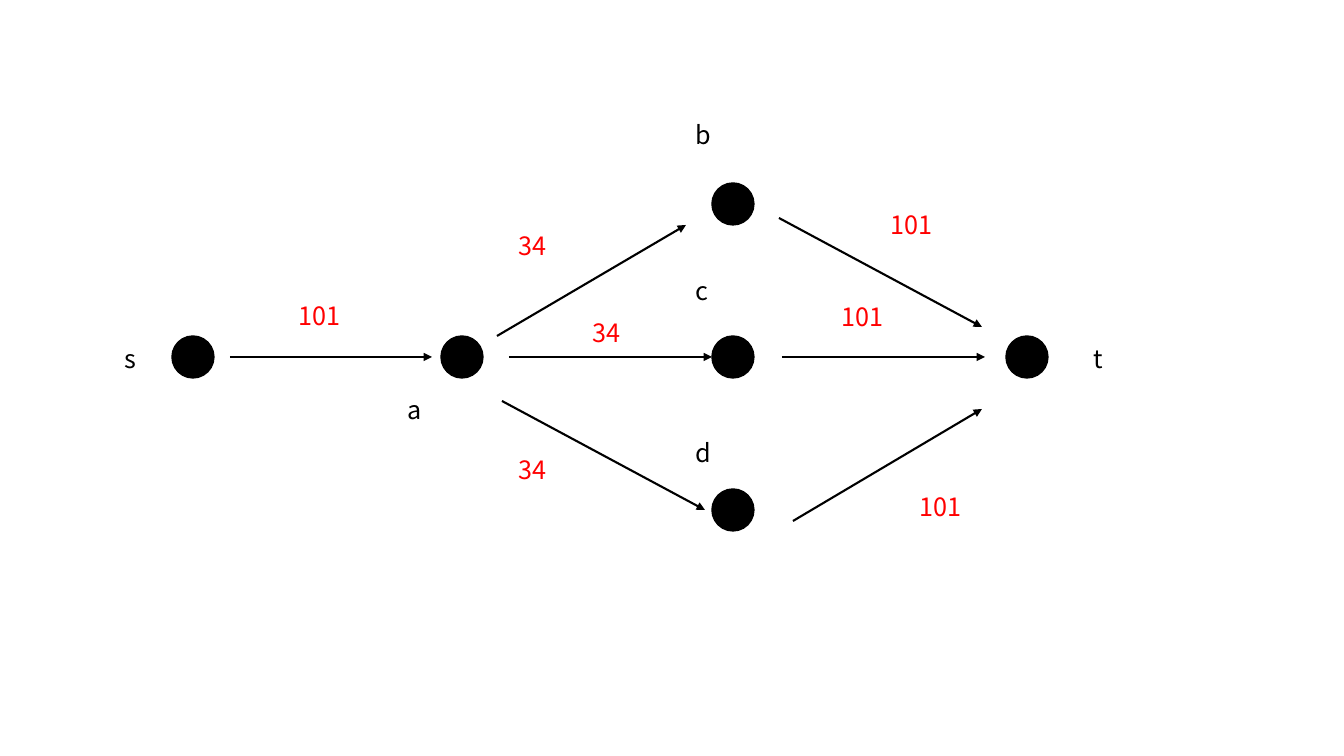
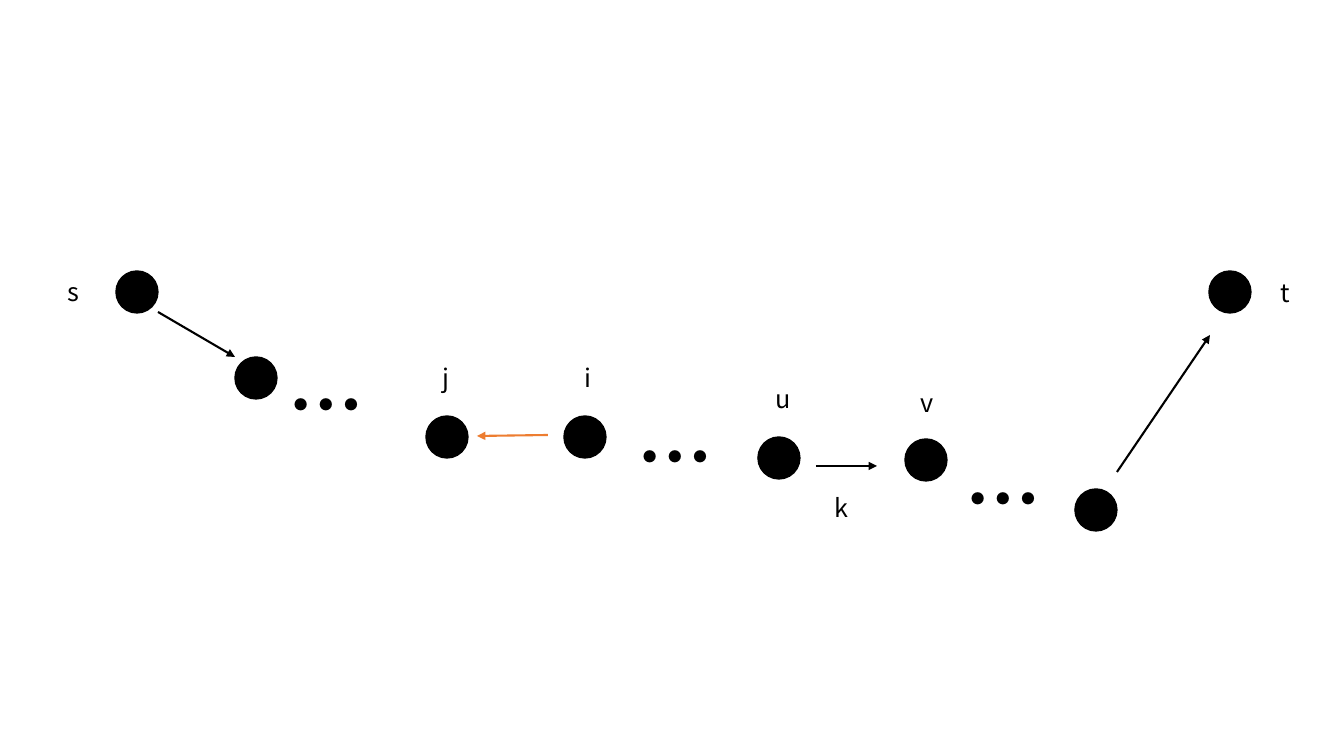
from lxml import etree
from pptx import Presentation
from pptx.dml.color import RGBColor
from pptx.enum.shapes import MSO_CONNECTOR, MSO_SHAPE
from pptx.enum.text import MSO_AUTO_SIZE
from pptx.oxml.ns import qn
from pptx.util import Emu, Pt

ELLIPSE = MSO_SHAPE.OVAL
STRAIGHT = MSO_CONNECTOR.STRAIGHT
GROW = MSO_AUTO_SIZE.SHAPE_TO_FIT_TEXT

FONT = "Noto Sans CJK KR"
BLACK, RED, ORANGE = "000000", "FF0000", "ED7D31"
SLIDE_W, SLIDE_H = 1344, 756
NODE_SIZE = 42
LABEL_H, DOTS_H = 40, 102
LABEL_W = {
    "s": 31, "t": 29, "a": 33, "b": 35, "c": 32, "d": 35, "u": 35, "v": 32,
    "k": 33, "i": 26, "j": 26, "34": 48, "101": 62, "…": 88,
}

# Nodes are centres, arrows run from start to end, text is placed by its top left.
FLOW_NETWORK = {
    "nodes": [(193, 357), (462, 357), (733, 204), (733, 357), (733, 510), (1027, 357)],
    "arrows": [
        ((497, 336), (686, 225), BLACK),
        ((502, 401), (705, 510), BLACK),
        ((230, 357), (432, 357), BLACK),
        ((509, 357), (712, 357), BLACK),
        ((782, 357), (985, 357), BLACK),
        ((779, 218), (982, 327), BLACK),
        ((793, 521), (982, 409), BLACK),
    ],
    "names": [
        ("s", 115, 338), ("t", 1084, 338), ("a", 398, 389),
        ("b", 686, 114), ("c", 686, 270), ("d", 686, 432),
    ],
    "capacities": [
        ("101", 289, 295), ("34", 509, 225), ("34", 583, 312), ("34", 509, 449),
        ("101", 881, 204), ("101", 832, 296), ("101", 910, 486),
    ],
    "gaps": [],
}
AUGMENTING_PATH = {
    "nodes": [
        (137, 292), (256, 378), (447, 437), (585, 437),
        (779, 458), (926, 460), (1096, 510), (1230, 292),
    ],
    "arrows": [
        ((158, 312), (235, 357), BLACK),
        ((548, 435), (477, 436), ORANGE),
        ((816, 466), (877, 466), BLACK),
        ((1117, 472), (1210, 335), BLACK),
    ],
    "names": [
        ("s", 58, 271), ("j", 433, 357), ("i", 575, 357), ("u", 766, 378),
        ("k", 825, 487), ("v", 911, 382), ("t", 1271, 272),
    ],
    "capacities": [],
    "gaps": [(279, 353), (628, 405), (956, 447)],
}


def px(length):
    """Turn pixels into EMU."""
    return Emu(round(length * 914400 / 100.8))


def rgb(code):
    """Turn a hex string into a colour."""
    return RGBColor.from_string(code)


def add_node(slide, centre_x, centre_y):
    """Draw a black graph node around its centre."""
    half = NODE_SIZE / 2
    node = slide.shapes.add_shape(
        ELLIPSE, px(centre_x - half), px(centre_y - half), px(NODE_SIZE), px(NODE_SIZE))
    node.shadow.inherit = False
    node.fill.solid()
    node.fill.fore_color.rgb = rgb(BLACK)
    node.line.color.rgb = rgb(BLACK)
    node.line.width = Pt(1)


def add_arrow(slide, start, end, color):
    """Draw a straight edge with an arrowhead at its end."""
    arrow = slide.shapes.add_connector(STRAIGHT, *map(px, start + end))
    arrow.line.color.rgb = rgb(color)
    arrow.line.width = Pt(1.5)
    properties = arrow.element.spPr
    etree.SubElement(properties.find(qn("a:ln")), qn("a:tailEnd"), type="triangle")
    etree.SubElement(properties, qn("a:effectLst"))


def add_text(slide, text, left, top, height=LABEL_H, size=18, color=BLACK, bold=False):
    """Place a one-line text that does not wrap."""
    box = slide.shapes.add_textbox(px(left), px(top), px(LABEL_W[text]), px(height))
    frame = box.text_frame
    frame.word_wrap = False
    frame.auto_size = GROW
    run = frame.paragraphs[0].add_run()
    run.text = text
    run.font.size = Pt(size)
    run.font.bold = bold
    run.font.color.rgb = rgb(color)
    run.font.name = FONT
    for properties in box.element.iter(qn("a:rPr")):
        etree.SubElement(properties, qn("a:ea"), typeface=FONT)


def add_graph(deck, graph):
    """Build one slide from the parts of a graph."""
    slide = deck.slides.add_slide(deck.slide_layouts[6])
    for centre in graph["nodes"]:
        add_node(slide, *centre)
    for arrow in graph["arrows"]:
        add_arrow(slide, *arrow)
    for name in graph["names"]:
        add_text(slide, *name)
    for capacity in graph["capacities"]:
        add_text(slide, *capacity, color=RED)
    for left, top in graph["gaps"]:
        add_text(slide, "…", left, top, height=DOTS_H, size=54, bold=True)


deck = Presentation()
deck.slide_width, deck.slide_height = px(SLIDE_W), px(SLIDE_H)
for graph in (FLOW_NETWORK, AUGMENTING_PATH):
    add_graph(deck, graph)
deck.save("out.pptx")
